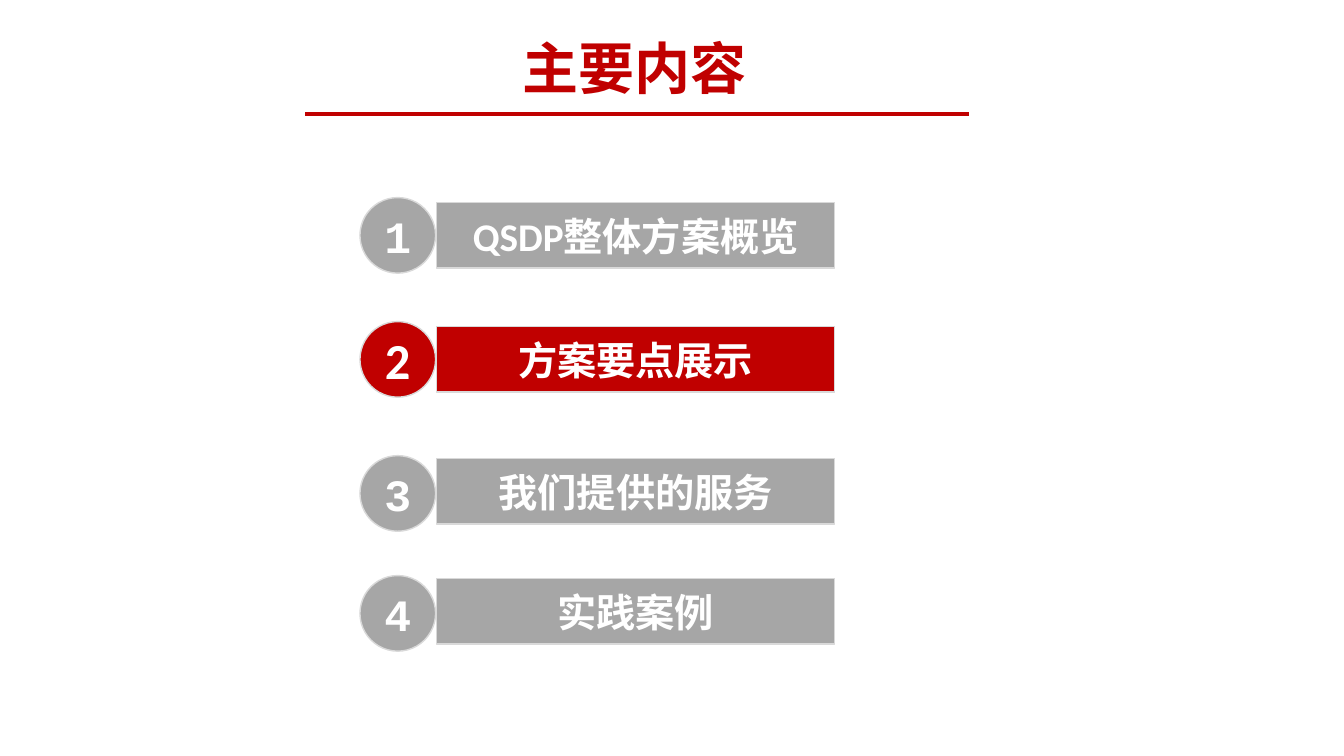
from dataclasses import dataclass

from lxml import etree
from pptx import Presentation
from pptx.dml.color import RGBColor
from pptx.enum import shapes, text
from pptx.oxml import ns
from pptx.util import Inches, Pt


@dataclass(frozen=True)
class Theme:
    accent: RGBColor = RGBColor(0xC0, 0x00, 0x00)
    muted: RGBColor = RGBColor(0xA6, 0xA6, 0xA6)
    border: RGBColor = RGBColor(0xD9, 0xD9, 0xD9)
    inverse: RGBColor = RGBColor(0xFF, 0xFF, 0xFF)
    text_font: str = "Calibri"
    number_font: str = "Courier New"
    heading_size: int = 40
    label_size: int = 28
    number_size: int = 32
    current_number_size: int = 36


@dataclass(frozen=True)
class Section:
    label: str
    badge_top: float
    bar_top: float
    current: bool = False


THEME = Theme()
BADGE_LEFT, BADGE_SIZE = 3.57, 0.75
BAR_LEFT, BAR_WIDTH, BAR_HEIGHT = 4.33, 3.95, 0.65
SECTIONS = [
    Section("QSDP整体方案概览", 1.96, 2.01),
    Section("方案要点展示", 3.19, 3.24, current=True),
    Section("我们提供的服务", 4.52, 4.55),
    Section("实践案例", 5.71, 5.74),
]


def style_paragraph(paragraph, font: str, size: int, color: RGBColor) -> None:
    paragraph.alignment = text.PP_ALIGN.CENTER
    paragraph.font.name = font
    paragraph.font.size = Pt(size)
    paragraph.font.bold = True
    paragraph.font.color.rgb = color


def add_block(slide, kind: shapes.MSO_SHAPE, box: tuple[float, ...], fill: RGBColor,
              wording: str, font: str, size: int) -> None:
    block = slide.shapes.add_shape(kind, *map(Inches, box))
    block.shadow.inherit = False
    block.fill.solid()
    block.fill.fore_color.rgb = fill
    block.line.color.rgb = THEME.border
    block.line.width = Pt(1)
    frame = block.text_frame
    frame.vertical_anchor = text.MSO_ANCHOR.MIDDLE
    frame.text = wording
    style_paragraph(frame.paragraphs[0], font, size, THEME.inverse)


def add_section(slide, number: int, section: Section) -> None:
    fill = THEME.accent if section.current else THEME.muted
    number_font = THEME.text_font if section.current else THEME.number_font
    number_size = THEME.current_number_size if section.current else THEME.number_size
    add_block(slide, shapes.MSO_SHAPE.RECTANGLE,
              (BAR_LEFT, section.bar_top, BAR_WIDTH, BAR_HEIGHT),
              fill, section.label, THEME.text_font, THEME.label_size)
    add_block(slide, shapes.MSO_SHAPE.OVAL,
              (BADGE_LEFT, section.badge_top, BADGE_SIZE, BADGE_SIZE),
              fill, str(number), number_font, number_size)


def add_heading(slide) -> None:
    heading = slide.shapes.title
    heading.left, heading.top = Inches(2.04), Inches(0.36)
    heading.width, heading.height = Inches(8.5), Inches(0.92)
    frame = heading.text_frame
    frame.auto_size = text.MSO_AUTO_SIZE.NONE
    frame.vertical_anchor = text.MSO_ANCHOR.TOP
    frame.text = "主要内容"
    frame.paragraphs[0].line_spacing = 0.9
    style_paragraph(frame.paragraphs[0], THEME.text_font, THEME.heading_size, THEME.accent)

    underline = slide.shapes.add_connector(
        shapes.MSO_CONNECTOR.STRAIGHT, Inches(3.03), Inches(1.13), Inches(9.61), Inches(1.13))
    underline.line.color.rgb = THEME.accent
    underline.line.width = Pt(3)
    etree.SubElement(underline._element.spPr, ns.qn("a:effectLst"))


def main() -> None:
    deck = Presentation()
    deck.slide_width, deck.slide_height = Inches(13.33), Inches(7.5)
    slide = deck.slides.add_slide(deck.slide_layouts.get_by_name("Title Only"))
    add_heading(slide)
    for number, section in enumerate(SECTIONS, start=1):
        add_section(slide, number, section)
    deck.save("out.pptx")


if __name__ == "__main__":
    main()
